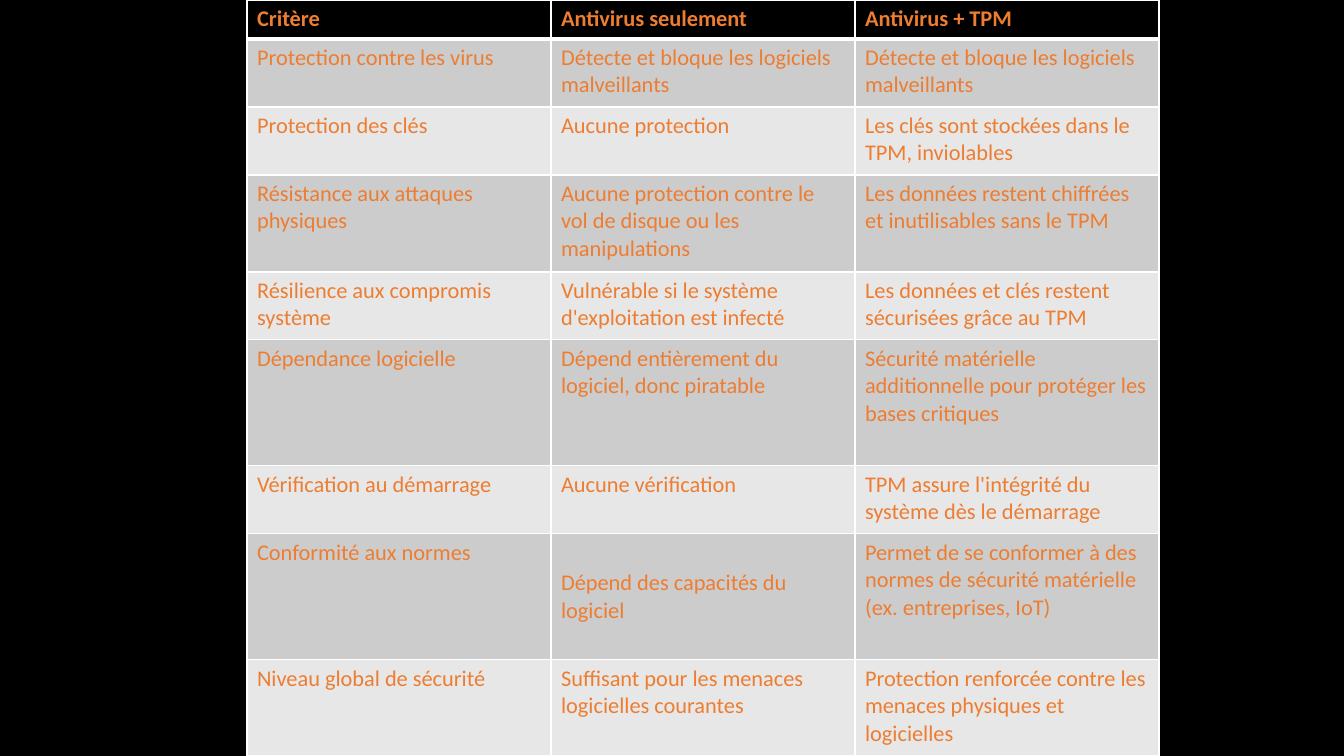
from dataclasses import dataclass

from lxml import etree
from pptx import Presentation
from pptx import util as u
from pptx.dml.color import RGBColor
from pptx.enum import text
from pptx.oxml.ns import qn


@dataclass(frozen=True)
class Theme:
    background: str = "000000"
    header: str = "000000"
    bands: tuple = ("CCCCCC", "E7E7E7")
    ink: str = "ED7D31"
    rule: str = "FFFFFF"
    font: str = "Calibri"
    size: int = 16
    thin: int = 1
    thick: int = 3


class SlideBuilder:
    """Draws themed elements on one slide, with lengths in px."""

    SCALE = 12192000 / 1344

    def __init__(self, prs, theme):
        self.theme = theme
        prs.slide_width, prs.slide_height = self.emu(1344), self.emu(756)
        self.s = prs.slides.add_slide(prs.slide_layouts[6])
        self.paint(self.s.background.fill, theme.background)

    def emu(self, px):
        return u.Emu(round(px * self.SCALE))

    def paint(self, fill, color):
        fill.solid()
        fill.fore_color.rgb = RGBColor.from_string(color)

    def border(self, cell, side, width):
        tc_pr = cell._tc.get_or_add_tcPr()
        ln = etree.SubElement(tc_pr, qn(f"a:ln{side}"), w=str(u.Pt(width)))
        fill = etree.SubElement(ln, qn("a:solidFill"))
        etree.SubElement(fill, qn("a:srgbClr"), val=self.theme.rule)

    def cell(self, cell, label, row):
        t = self.theme
        for side in "LRTB":
            under_header = (row, side) in ((0, "B"), (1, "T"))
            self.border(cell, side, t.thick if under_header else t.thin)
        self.paint(cell.fill, t.bands[(row - 1) % 2] if row else t.header)
        p = cell.text_frame.paragraphs[0]
        p.text = label
        p.font.name, p.font.size, p.font.bold = t.font, u.Pt(t.size), row == 0
        p.font.color.rgb = RGBColor.from_string(t.ink)

    def table(self, left, top, col_width, heights, rows):
        cols = len(rows[0])
        box = (left, top, col_width * cols, sum(heights))
        table = self.s.shapes.add_table(len(rows), cols, *map(self.emu, box)).table
        for column in table.columns:
            column.width = self.emu(col_width)
        for i, (height, labels) in enumerate(zip(heights, rows)):
            table.rows[i].height = self.emu(height)
            for j, label in enumerate(labels):
                self.cell(table.cell(i, j), label, i)
        return table


ROWS = [
    ("Critère", "Antivirus seulement", "Antivirus + TPM"),
    ("Protection contre les virus",
     "Détecte et bloque les logiciels malveillants",
     "Détecte et bloque les logiciels malveillants"),
    ("Protection des clés", "Aucune protection",
     "Les clés sont stockées dans le TPM, inviolables"),
    ("Résistance aux attaques physiques",
     "Aucune protection contre le vol de disque ou les manipulations",
     "Les données restent chiffrées et inutilisables sans le TPM"),
    ("Résilience aux compromis système",
     "Vulnérable si le système d'exploitation est infecté",
     "Les données et clés restent sécurisées grâce au TPM"),
    ("Dépendance logicielle",
     "Dépend entièrement du logiciel, donc piratable",
     "Sécurité matérielle additionnelle pour protéger les bases critiques"),
    ("Vérification au démarrage", "Aucune vérification",
     "TPM assure l'intégrité du système dès le démarrage"),
    ("Conformité aux normes", "Dépend des capacités du logiciel",
     "Permet de se conformer à des normes de sécurité matérielle "
     "(ex. entreprises, IoT)"),
    ("Niveau global de sécurité",
     "Suffisant pour les menaces logicielles courantes",
     "Protection renforcée contre les menaces physiques et logicielles"),
]
HEIGHTS = [39, 68, 68, 97, 68, 126, 68, 126, 96]


def main():
    prs = Presentation()
    builder = SlideBuilder(prs, Theme())
    comparison = builder.table(247, 0, 304, HEIGHTS, ROWS)
    comparison.cell(7, 1).vertical_anchor = text.MSO_ANCHOR.MIDDLE
    prs.save("out.pptx")


if __name__ == "__main__":
    main()
